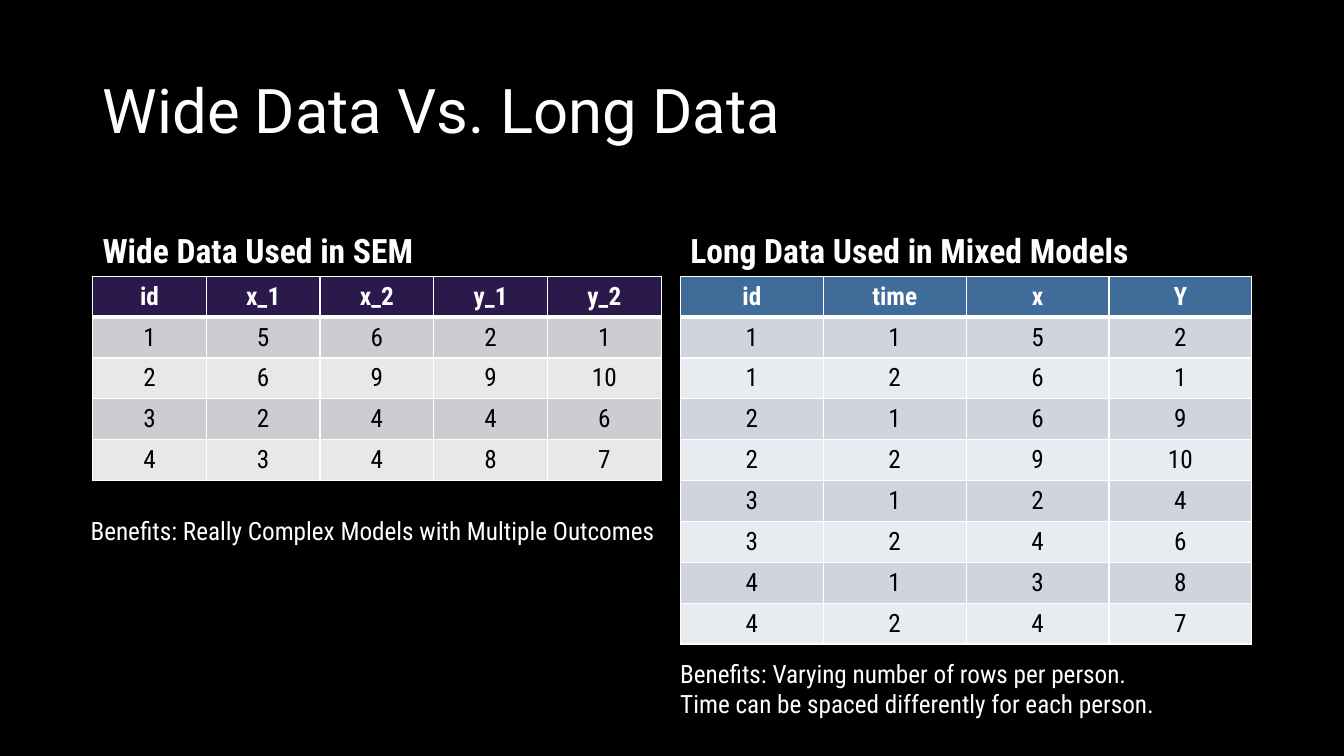
import pptx
import pptx.dml.color
import pptx.enum.text
import pptx.oxml
import pptx.oxml.ns
import pptx.util

Pt = pptx.util.Pt
RGBColor = pptx.dml.color.RGBColor
ANCHOR = pptx.enum.text.MSO_ANCHOR
ALIGN = pptx.enum.text.PP_ALIGN
AUTO_SIZE = pptx.enum.text.MSO_AUTO_SIZE

BLACK = RGBColor(0x00, 0x00, 0x00)
WHITE = RGBColor(0xFF, 0xFF, 0xFF)
PURPLE = RGBColor(0x2C, 0x19, 0x4C)
GRAYS = (RGBColor(0xCD, 0xCC, 0xD0), RGBColor(0xE8, 0xE8, 0xE9))
BLUE = RGBColor(0x3F, 0x6C, 0x99)
PALE_BLUES = (RGBColor(0xCF, 0xD4, 0xDE), RGBColor(0xE8, 0xEB, 0xEF))

TITLE_FONT = "Roboto"
BODY_FONT = "Roboto Condensed"
ROW_HEIGHT = 29.2
HEADING_HEIGHT = 64.8

WIDE_ROWS = [
    ("id", "x_1", "x_2", "y_1", "y_2"),
    (1, 5, 6, 2, 1),
    (2, 6, 9, 9, 10),
    (3, 2, 4, 4, 6),
    (4, 3, 4, 8, 7),
]
LONG_ROWS = [
    ("id", "time", "x", "Y"),
    (1, 1, 5, 2),
    (1, 2, 6, 1),
    (2, 1, 6, 9),
    (2, 2, 9, 10),
    (3, 1, 2, 4),
    (3, 2, 4, 6),
    (4, 1, 3, 8),
    (4, 2, 4, 7),
]


def style_text(frame, size, color=WHITE, bold=False, name=BODY_FONT):
    for paragraph in frame.paragraphs:
        for run in paragraph.runs:
            run.font.size = Pt(size)
            run.font.bold = bold
            run.font.name = name
            run.font.color.rgb = color


def set_borders(cell, top, bottom):
    properties = cell._tc.get_or_add_tcPr()
    widths = (("L", 1), ("R", 1), ("T", top), ("B", bottom))
    for position, (side, width) in enumerate(widths):
        border = pptx.oxml.parse_xml(
            f'<a:ln{side} {pptx.oxml.ns.nsdecls("a")} w="{Pt(width)}">'
            f'<a:solidFill><a:srgbClr val="{WHITE}"/></a:solidFill></a:ln{side}>'
        )
        properties.insert(position, border)


def add_title(slide, left, top, width, height):
    title = slide.shapes.title
    title.left, title.top = Pt(left), Pt(top)
    title.width, title.height = Pt(width), Pt(height)
    frame = title.text_frame
    frame.text = "Wide Data Vs. Long Data"
    frame.vertical_anchor = ANCHOR.MIDDLE
    frame.paragraphs[0].alignment = ALIGN.LEFT
    frame.paragraphs[0].line_spacing = 0.9
    style_text(frame, 44, name=TITLE_FONT)


def add_heading(slide, text, left, top, width):
    heading = slide.shapes.add_textbox(Pt(left), Pt(top), Pt(width), Pt(HEADING_HEIGHT))
    frame = heading.text_frame
    frame.word_wrap = True
    frame.vertical_anchor = ANCHOR.BOTTOM
    frame.text = text
    frame.paragraphs[0].line_spacing = 0.9
    style_text(frame, 24, bold=True)


def add_data_table(slide, rows, left, top, width, header_fill, band_fills):
    data_table = slide.shapes.add_table(
        len(rows), len(rows[0]), Pt(left), Pt(top), Pt(width), Pt(ROW_HEIGHT * len(rows))
    ).table
    data_table.horz_banding = False
    for row_index, values in enumerate(rows):
        is_header = row_index == 0
        fill = header_fill if is_header else band_fills[(row_index - 1) % 2]
        for column_index, value in enumerate(values):
            cell = data_table.cell(row_index, column_index)
            cell.text = str(value)
            cell.vertical_anchor = ANCHOR.MIDDLE
            cell.text_frame.paragraphs[0].alignment = ALIGN.CENTER
            style_text(cell.text_frame, 18, WHITE if is_header else BLACK, is_header)
            cell.fill.solid()
            cell.fill.fore_color.rgb = fill
            set_borders(cell, 3 if row_index == 1 else 1, 3 if is_header else 1)


def add_benefits(slide, text, left, top, width, height):
    benefits = slide.shapes.add_textbox(Pt(left), Pt(top), Pt(width), Pt(height))
    frame = benefits.text_frame
    frame.word_wrap = False
    frame.auto_size = AUTO_SIZE.SHAPE_TO_FIT_TEXT
    frame.text = text
    style_text(frame, 18)


def add_comparison_side(slide, left, top, width, heading, rows, header_fill, band_fills):
    add_heading(slide, heading, left, top, width)
    add_data_table(slide, rows, left, top + HEADING_HEIGHT, width, header_fill, band_fills)


def add_comparison_slide(deck):
    slide = deck.slides.add_slide(deck.slide_layouts[5])
    slide.background.fill.solid()
    slide.background.fill.fore_color.rgb = BLACK
    add_title(slide, 66.2, 28.8, 828, 104.4)
    add_comparison_side(
        slide, 66.2, 132.5, 406.2, "Wide Data Used in SEM", WIDE_ROWS, PURPLE, GRAYS
    )
    add_comparison_side(
        slide, 486, 132.5, 408.2, "Long Data Used in Mixed Models", LONG_ROWS, BLUE, PALE_BLUES
    )
    add_benefits(
        slide, "Benefits: Really Complex Models with Multiple Outcomes", 57.6, 364.5, 422.6, 29
    )
    add_benefits(
        slide,
        "Benefits: Varying number of rows per person.\n"
        "Time can be spaced differently for each person.",
        478.8, 466.6, 357.1, 51,
    )


def main():
    deck = pptx.Presentation()
    deck.slide_width, deck.slide_height = Pt(960), Pt(540)
    add_comparison_slide(deck)
    deck.save("out.pptx")


if __name__ == "__main__":
    main()
